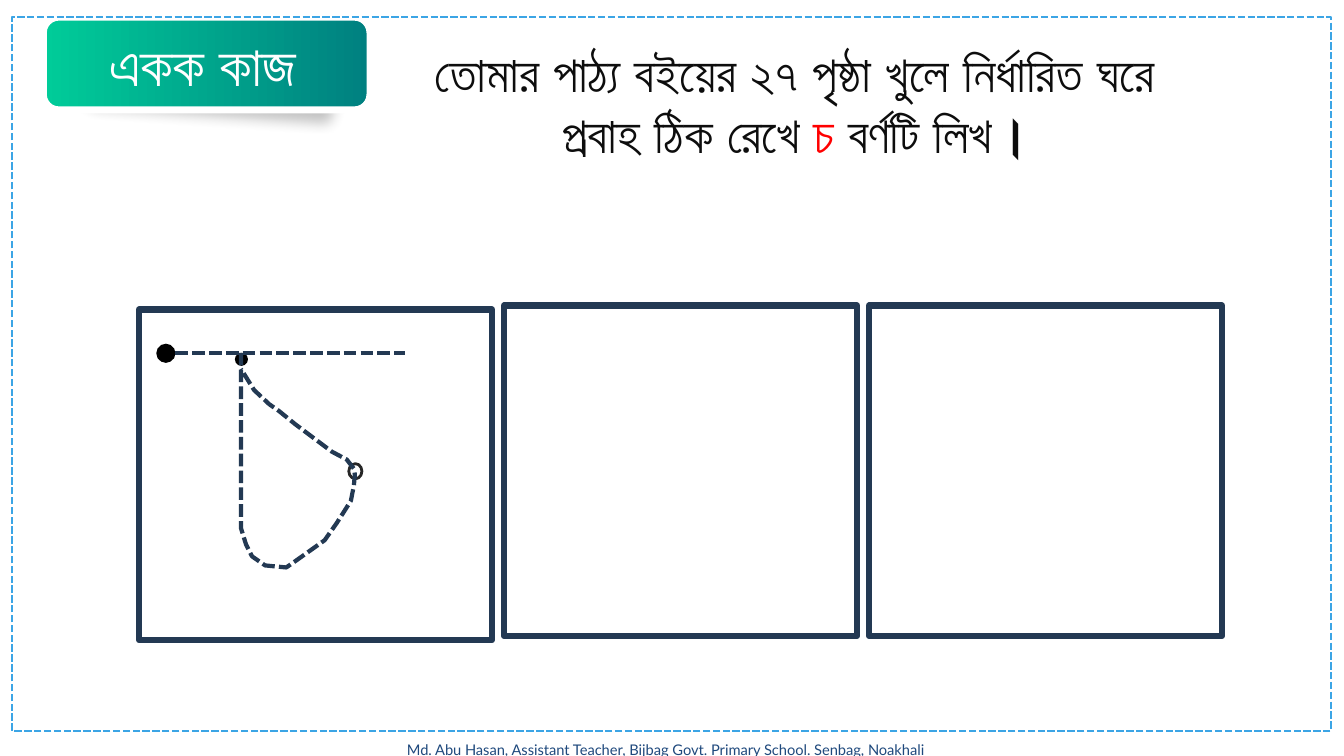
from pptx import Presentation
from pptx.dml.color import RGBColor
from pptx.enum.dml import MSO_LINE
from pptx.enum.shapes import MSO_CONNECTOR, MSO_SHAPE
from pptx.enum.text import MSO_ANCHOR, MSO_AUTO_SIZE, PP_ALIGN
from pptx.oxml import parse_xml
from pptx.oxml.ns import nsdecls
from pptx.util import Inches, Pt

W, H = 13.33, 7.5
NAVY = "233953"
DASH = MSO_LINE.SQUARE_DOT

TITLE = [("একক কাজ", "FFFFFF")]
TASK = [
    ("তোমার পাঠ্য বইয়ের ২৭ পৃষ্ঠা খুলে নির্ধারিত ঘরে প্রবাহ ঠিক রেখে ", "0D0D0D"),
    ("চ ", "FF0000"),
    ("বর্ণটি লিখ।", "0D0D0D"),
]
FOOTER = [("Md. Abu Hasan, Assistant Teacher, Bijbag Govt. Primary School. Senbag, Noakhali", "1F497D")]

HEADING_FONT = {"name": "Arial", "bold": True}
FOOTER_FONT = {"name": "Lato", "size": Pt(10.5)}

BOX_LEFT, BOX_PITCH, BOX_W, BOX_H = 1.38, 3.62, 3.5, 3.28
BOX_TOPS = [3.07, 3.03, 3.03]
DOTS = [(1.55, 3.41, 0.19), (2.33, 3.5, 0.13)]
RING = (3.46, 4.6, 0.13, 0.15)
HEADSTROKE = (1.74, 3.5, 4.02, 3.5)
LOOP = [
    (2.39, 3.5), (2.39, 3.88), (2.39, 5.24), (2.44, 5.4), (2.5, 5.52), (2.63, 5.61),
    (2.84, 5.63), (2.94, 5.56), (3.22, 5.36), (3.34, 5.19), (3.48, 4.97), (3.51, 4.82),
    (3.52, 4.71), (3.51, 4.65), (3.44, 4.56), (3.29, 4.48), (3.09, 4.33), (2.93, 4.21),
    (2.77, 4.08), (2.67, 4.01), (2.52, 3.87), (2.44, 3.74), (2.39, 3.66),
]


def rgb(value):
    return RGBColor.from_string(value)


def inches(*values):
    return [Inches(v) for v in values]


def set_line(sp, color, width, dash=None):
    sp.line.color.rgb = rgb(color)
    sp.line.width = Pt(width)
    if dash:
        sp.line.dash_style = dash


def style(sp, fill=None, line=None):
    sp.shadow.inherit = False
    if fill:
        sp.fill.solid()
        sp.fill.fore_color.rgb = rgb(fill)
    else:
        sp.fill.background()
    if line:
        set_line(sp, *line)
    else:
        sp.line.fill.background()
    return sp


def add_shape(kind, box, fill=None, line=None):
    return style(s.shapes.add_shape(kind, *inches(*box)), fill, line)


def write(sp, runs, font):
    tf = sp.text_frame
    tf.word_wrap = True
    tf.auto_size = MSO_AUTO_SIZE.NONE
    tf.vertical_anchor = MSO_ANCHOR.TOP
    p = tf.paragraphs[0]
    p.alignment = PP_ALIGN.CENTER
    for text, color in runs:
        r = p.add_run()
        r.text = text
        r.font.color.rgb = rgb(color)
        for key, value in font.items():
            setattr(r.font, key, value)


prs = Presentation()
prs.slide_width, prs.slide_height = inches(W, H)
s = prs.slides.add_slide(prs.slide_layouts[5])

footer = s.shapes.add_textbox(*inches(3.5, 7.3, 6.21, 0.28))
write(footer, FOOTER, FOOTER_FONT)
task = s.shapes.add_textbox(*inches(3.82, 0.37, 8.12, 1.31))
write(task, TASK, {**HEADING_FONT, "size": Pt(36)})

shade = add_shape(MSO_SHAPE.ROUNDED_RECTANGLE, (0.72, 0.58, 2.73, 0.71), "000000")
shade.rotation = 3.7
color = shade.fill._xPr.find(".//{*}srgbClr")
color.append(parse_xml(f'<a:alpha {nsdecls("a")} val="25000"/>'))
effects = shade._element.spPr.find("{*}effectLst")
effects.append(parse_xml(f'<a:softEdge {nsdecls("a")} rad="{Pt(10)}"/>'))

badge = add_shape(MSO_SHAPE.ROUNDED_RECTANGLE, (0.43, 0.17, 3.24, 0.92), line=("FFFFFF", 5))
badge.fill.gradient()
badge.fill.gradient_angle = 0
for stop, value in zip(badge.fill.gradient_stops, ("00CC99", "008080")):
    stop.color.rgb = rgb(value)

title = s.shapes.title
title.left, title.top, title.width, title.height = inches(0.55, 0.25, 2.92, 0.77)
write(title, TITLE, {**HEADING_FONT, "size": Pt(40)})
badge._element.addnext(title._element)

add_shape(MSO_SHAPE.RECTANGLE, (0.12, 0.17, 13.08, 7.08), line=("3CA5E5", 1.75, DASH))

for x, y, size in DOTS:
    add_shape(MSO_SHAPE.OVAL, (x, y, size, size), "000000")
add_shape(MSO_SHAPE.OVAL, RING, line=("262626", 2))

for i, top in enumerate(BOX_TOPS):
    box = (BOX_LEFT + i * BOX_PITCH, top, BOX_W, BOX_H)
    add_shape(MSO_SHAPE.RECTANGLE, box, line=(NAVY, 4.5))

bar = s.shapes.add_connector(MSO_CONNECTOR.STRAIGHT, *inches(*HEADSTROKE))
set_line(bar, NAVY, 3, DASH)
bar._element.spPr.append(parse_xml(f'<a:effectLst {nsdecls("a")}/>'))

points = [inches(x, y) for x, y in LOOP]
fb = s.shapes.build_freeform(*points[0])
fb.add_line_segments(points[1:], close=False)
style(fb.convert_to_shape(), line=(NAVY, 3, DASH))

prs.save("out.pptx")
